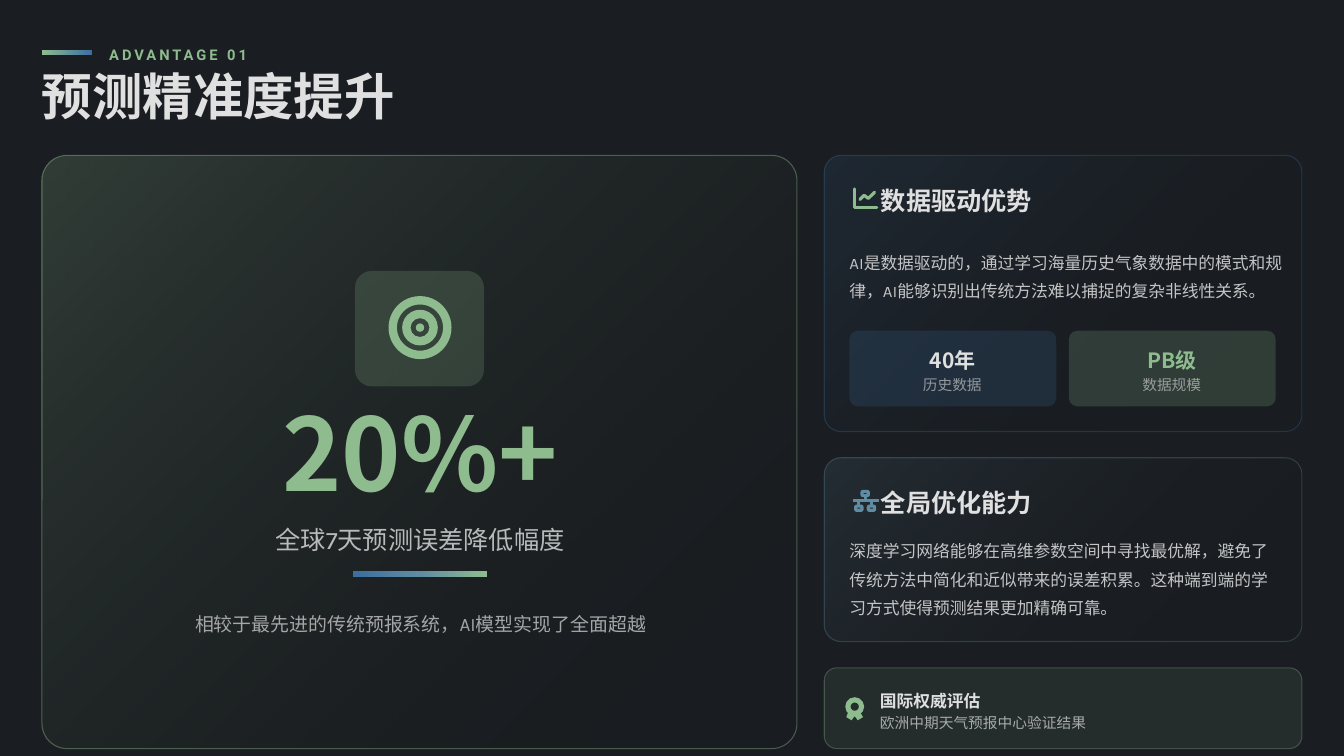
from dataclasses import dataclass

from lxml import etree
from pptx import Presentation
from pptx import util as u
from pptx.dml.color import RGBColor
from pptx.enum import shapes, text
from pptx.oxml.ns import qn

PX = 12700  # EMU per px; the slide is 1280 x 720 px and 1 px is 1 pt
INK, GREEN, BLUE, TEAL, BLACK = "E0E0E0", "8FBC8F", "3C6E9E", "5F8CA3", "000000"
NOTO, KARLA, ROBOTO = "Noto Sans CJK SC", "Karla", "Roboto"
KIND = shapes.MSO_SHAPE


@dataclass(frozen=True)
class Box:
    left: int
    top: int
    width: int
    height: int

    def emu(self) -> list[int]:
        return [n * PX for n in (self.left, self.top, self.width, self.height)]


@dataclass(frozen=True)
class Style:
    size: int
    font: str
    spacing: float
    colour: str = INK
    opacity: int = 100
    bold: bool = False
    centred: bool = False
    tracking: int = 0  # hundredths of a point


@dataclass(frozen=True)
class Stop:
    position: int
    colour: str
    opacity: int = 100


@dataclass(frozen=True)
class Card:
    box: Box
    radius: int
    tint: str
    opacity: int
    line_opacity: int
    graded: bool = True


@dataclass(frozen=True)
class Fact:
    value: str
    label: str
    tint: str
    value_colour: str


def set_solid(fill, colour: str, opacity: int = 100) -> None:
    fill.solid()
    fill.fore_color.rgb = RGBColor.from_string(colour)
    if opacity < 100:
        element = fill._xPr.find(qn("a:solidFill"))[0]
        etree.SubElement(element, qn("a:alpha"), val=str(opacity * 1000))


def set_gradient(fill, stops: list[Stop], angle: int) -> None:
    """Angle is clockwise from left-to-right."""
    fill.gradient()
    fill.gradient_angle = -angle % 360
    stop_list = fill._xPr.find(qn("a:gradFill")).find(qn("a:gsLst"))
    for old in list(stop_list):
        stop_list.remove(old)
    for stop in stops:
        entry = etree.SubElement(stop_list, qn("a:gs"), pos=str(stop.position * 1000))
        colour = etree.SubElement(entry, qn("a:srgbClr"), val=stop.colour)
        etree.SubElement(colour, qn("a:alpha"), val=str(stop.opacity * 1000))


def set_stroke(shape, colour: str, width: int, opacity: int = 100) -> None:
    shape.line.width = width * PX
    set_solid(shape.line.fill, colour, opacity)


def write(shape, content: str, style: Style) -> None:
    frame = shape.text_frame
    frame.margin_left = frame.margin_right = frame.margin_top = frame.margin_bottom = 0
    frame.word_wrap = True
    frame.auto_size = text.MSO_AUTO_SIZE.NONE
    frame.vertical_anchor = text.MSO_ANCHOR.MIDDLE
    frame.text = content
    paragraph = frame.paragraphs[0]
    paragraph.alignment = text.PP_ALIGN.CENTER if style.centred else text.PP_ALIGN.LEFT
    paragraph.line_spacing = style.spacing
    font = paragraph.font
    font.size, font.bold, font.name = u.Pt(style.size), style.bold, style.font
    set_solid(font.fill, style.colour, style.opacity)
    properties = font._rPr
    east_asian = etree.Element(qn("a:ea"), typeface=NOTO)
    properties.find(qn("a:latin")).addnext(east_asian)
    if style.tracking:
        properties.set("spc", str(style.tracking))


def add_text(slide, box: Box, content: str, style: Style) -> None:
    write(slide.shapes.add_textbox(*box.emu()), content, style)


def add_plain(slide, kind, box: Box, adjustment: float | None = None):
    shape = slide.shapes.add_shape(kind, *box.emu())
    shape.shadow.inherit = False
    shape.line.fill.background()
    if adjustment is not None:
        shape.adjustments[0] = adjustment
    return shape


def add_rounded(slide, box: Box, radius: int):
    return add_plain(slide, KIND.ROUNDED_RECTANGLE, box, radius / min(box.width, box.height))


def add_card(slide, card: Card) -> None:
    shape = add_rounded(slide, card.box, card.radius)
    if card.graded:
        set_gradient(shape.fill, [Stop(0, card.tint, card.opacity), Stop(100, BLACK, 0)], 45)
    else:
        set_solid(shape.fill, card.tint, card.opacity)
    set_stroke(shape, card.tint, 1, card.line_opacity)


def add_bar(slide, box: Box, stops: list[Stop]) -> None:
    set_gradient(add_plain(slide, KIND.RECTANGLE, box).fill, stops, 0)


def add_ring(slide, centre: tuple[int, int], diameter: int, thickness: int) -> None:
    left, top = (n - diameter // 2 for n in centre)
    ring = add_plain(slide, KIND.DONUT, Box(left, top, diameter, diameter), thickness / diameter)
    set_solid(ring.fill, GREEN)


def add_outline(slide, points: list[tuple[int, int]], close: bool):
    builder = slide.shapes.build_freeform(*points[0], scale=PX)
    builder.add_line_segments(points[1:], close=close)
    shape = builder.convert_to_shape()
    shape.shadow.inherit = False
    return shape


def add_chart_icon(slide) -> None:
    axes = [(814, 180), (814, 198), (835, 198)]
    trend = [(819, 190), (823, 186), (827, 189), (833, 183)]
    for points in (axes, trend):
        shape = add_outline(slide, points, close=False)
        shape.fill.background()
        set_stroke(shape, GREEN, 3)
        shape.line._ln.set("cap", "rnd")


def add_network_icon(slide) -> None:
    for left, top in ((821, 468), (815, 482), (827, 482)):
        node = add_rounded(slide, Box(left, top, 6, 4), 1)
        node.fill.background()
        set_stroke(node, TEAL, 3)
    for x1, y1, x2, y2 in ((812, 477, 837, 477), (824, 473, 824, 477),
                           (818, 477, 818, 481), (830, 477, 830, 481)):
        link = slide.shapes.add_connector(
            shapes.MSO_CONNECTOR.STRAIGHT, x1 * PX, y1 * PX, x2 * PX, y2 * PX)
        set_stroke(link, TEAL, 3)
        etree.SubElement(link._element.spPr, qn("a:effectLst"))


def add_award_icon(slide) -> None:
    ribbon = add_outline(slide, [(808, 678), (806, 683), (811, 686), (814, 682), (817, 686),
                                 (822, 683), (819, 678), (814, 680)], close=True)
    set_solid(ribbon.fill, GREEN)
    ribbon.line.fill.background()
    add_ring(slide, (814, 673), 18, 5)


def main() -> None:
    presentation = Presentation()
    presentation.slide_width, presentation.slide_height = 1280 * PX, 720 * PX
    slide = presentation.slides.add_slide(presentation.slide_layouts[5])
    set_solid(slide.background.fill, "1A1D21")

    add_bar(slide, Box(40, 48, 48, 4), [Stop(0, GREEN), Stop(100, BLUE)])
    add_text(slide, Box(104, 40, 142, 20), "ADVANTAGE 01",
             Style(14, ROBOTO, 1.2, GREEN, bold=True, tracking=280))
    title = slide.shapes.title
    title.left, title.top, title.width, title.height = Box(40, 72, 1224, 48).emu()
    write(title, "预测精准度提升", Style(48, NOTO, 0.8, bold=True))

    for card in (Card(Box(40, 148, 719, 565), 24, GREEN, 20, 40),
                 Card(Box(785, 148, 455, 263), 16, BLUE, 15, 30),
                 Card(Box(785, 436, 455, 175), 16, TEAL, 15, 30),
                 Card(Box(785, 636, 455, 77), 12, GREEN, 10, 30, graded=False)):
        add_card(slide, card)

    set_solid(add_rounded(slide, Box(338, 258, 123, 110), 16).fill, GREEN, 20)
    for diameter, thickness in ((60, 8), (34, 8)):
        add_ring(slide, (400, 312), diameter, thickness)
    set_solid(add_plain(slide, KIND.OVAL, Box(396, 308, 8, 8)).fill, GREEN)
    add_text(slide, Box(49, 392, 702, 96), "20%+",
             Style(96, NOTO, 0.8, GREEN, bold=True, centred=True))
    add_text(slide, Box(67, 496, 666, 32), "全球7天预测误差降低幅度",
             Style(24, KARLA, 1.1, opacity=80, centred=True))
    add_bar(slide, Box(336, 544, 128, 6), [Stop(0, BLUE), Stop(50, TEAL), Stop(100, GREEN)])
    add_text(slide, Box(140, 575, 521, 29), "相较于最先进的传统预报系统，AI模型实现了全面超越",
             Style(18, KARLA, 1.4, opacity=70, centred=True))

    heading, body = Style(24, NOTO, 1.1, bold=True), Style(16, KARLA, 1.4, opacity=85)
    for top, name, detail in (
            (148, "数据驱动优势", "AI是数据驱动的，通过学习海量历史气象数据中的模式和规律，"
                                  "AI能够识别出传统方法难以捕捉的复杂非线性关系。"),
            (436, "全局优化能力", "深度学习网络能够在高维参数空间中寻找最优解，避免了传统方法中简化和"
                                  "近似带来的误差积累。这种端到端的学习方式使得预测结果更加精确可靠。")):
        add_text(slide, Box(839, top + 25, 388, 32), name, heading)
        add_text(slide, Box(809, top + 73, 414, 78), detail, body)
    add_chart_icon(slide)
    add_network_icon(slide)

    facts = (Fact("40年", "历史数据", BLUE, INK), Fact("PB级", "数据规模", GREEN, GREEN))
    for index, fact in enumerate(facts):
        left = 809 + 209 * index
        set_solid(add_rounded(slide, Box(left, 315, 197, 72), 8).fill, fact.tint, 20)
        add_text(slide, Box(left + 7, 327, 183, 28), fact.value,
                 Style(20, NOTO, 1.2, fact.value_colour, bold=True, centred=True))
        add_text(slide, Box(left + 8, 355, 180, 20), fact.label,
                 Style(14, KARLA, 1.2, opacity=60, centred=True))

    add_award_icon(slide)
    add_text(slide, Box(838, 653, 204, 24), "国际权威评估", Style(16, KARLA, 1.3, bold=True))
    add_text(slide, Box(838, 677, 203, 20), "欧洲中期天气预报中心验证结果",
             Style(14, KARLA, 1.2, opacity=70))
    presentation.save("out.pptx")


if __name__ == "__main__":
    main()
